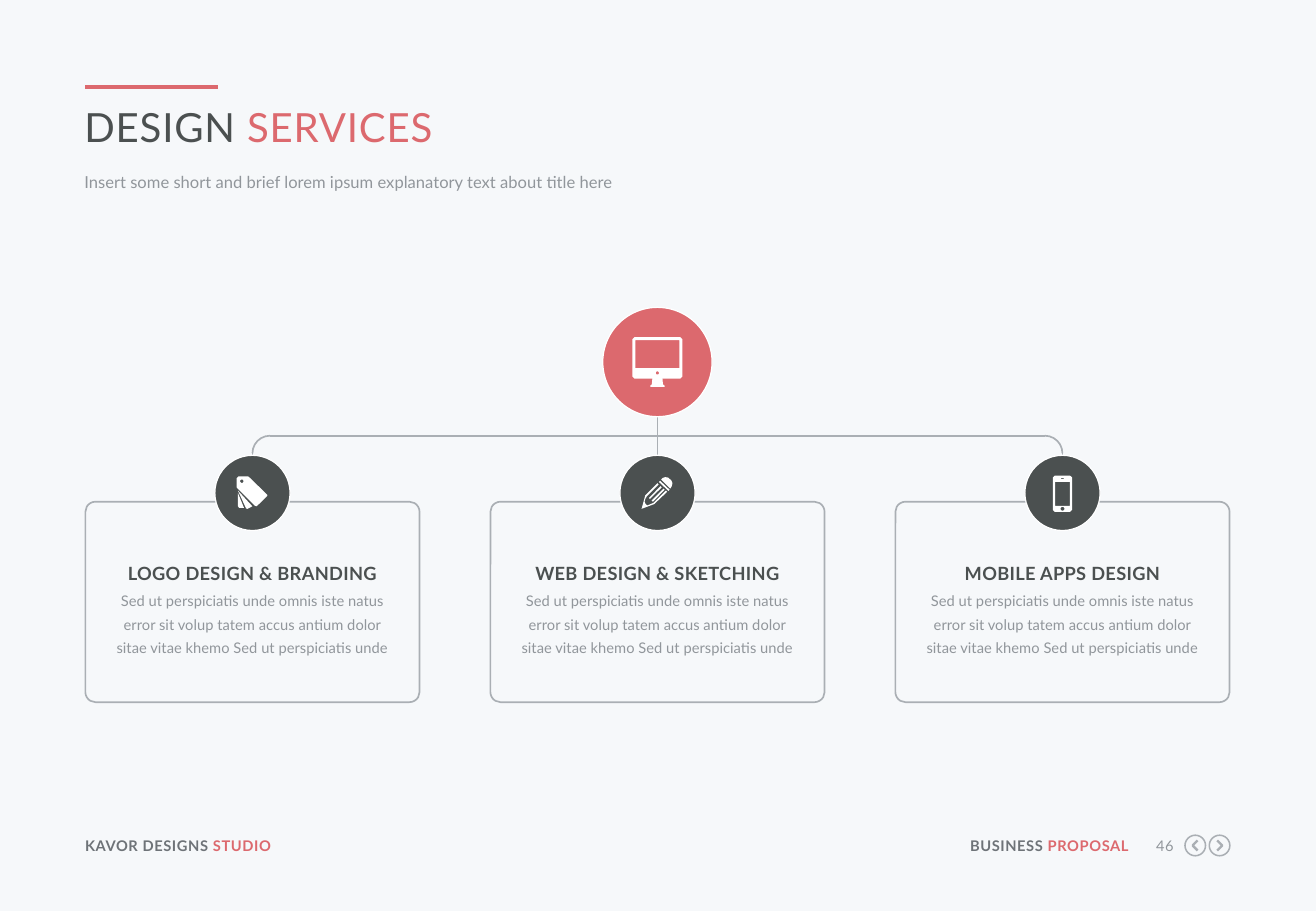
from dataclasses import dataclass

from lxml import etree
from pptx import Presentation
from pptx.dml.color import RGBColor
from pptx.enum.shapes import MSO_CONNECTOR, MSO_SHAPE
from pptx.enum.text import MSO_ANCHOR, MSO_AUTO_SIZE, PP_ALIGN
from pptx.oxml.ns import qn
from pptx.shapes.autoshape import Shape
from pptx.slide import Slide
from pptx.text.text import TextFrame
from pptx.util import Pt

LEFT, MID, RIGHT = PP_ALIGN.LEFT, PP_ALIGN.CENTER, PP_ALIGN.RIGHT
TOP, FIXED = MSO_ANCHOR.TOP, MSO_AUTO_SIZE.NONE
ARC, OVAL, CARD = MSO_SHAPE.ARC, MSO_SHAPE.OVAL, MSO_SHAPE.ROUNDED_RECTANGLE
STRAIGHT = MSO_CONNECTOR.STRAIGHT

COLORS = {"back": "F6F8FA", "red": "DC696E", "dark": "4B5050", "foot": "6E7378",
          "text": "91969B", "line": "AAAFB4", "white": "FFFFFF"}
Point = tuple[float, float]
Box = tuple[float, float, float, float]
Path = list[Point]

FIRST, STEP = 149.6, 240
BAR, BEND = 258.3, 20.8
BLURB = ("Sed ut perspiciatis unde omnis iste natus error sit volup tatem accus "
         "antium dolor sitae vitae khemo Sed ut perspiciatis unde")


@dataclass
class Service:
    name: str
    icon: list[Path]


def round_box(x: float, y: float, w: float, h: float, cut: float) -> Path:
    """Return a box outline with cut corners."""
    r, b = x + w, y + h
    return [(x + cut, y), (r - cut, y), (r, y + cut), (r, b - cut),
            (r - cut, b), (x + cut, b), (x, b - cut), (x, y + cut)]


SCREEN = [
    [(-13.6, -14.7), (13.6, -14.7), (14.8, -13.5), (14.8, 8.6), (13.6, 9.8),
     (3, 9.8), (3.3, 13.2), (4.2, 14), (4.2, 14.7), (-4.2, 14.7), (-4.2, 14),
     (-3.3, 13.2), (-3, 9.8), (-13.6, 9.8), (-14.8, 8.6), (-14.8, -13.5)],
    round_box(-13, -13, 26, 16.6, 0),
    round_box(-0.9, 5.6, 1.8, 1.8, 0.5),
]
PHONE = [
    round_box(-5.7, -10.3, 11.4, 21.6, 1.2),
    round_box(-4.4, -6.5, 8.8, 14.2, 0),
    round_box(-1.1, 8.3, 2.2, 2.2, 0.65),
    round_box(-0.9, -8.8, 1.8, 0.6, 0.2),
]
TAGS = [
    [(-9.4, -8.6), (-8.2, -9.9), (-2.9, -9.9), (-2.2, -9.6), (8.9, 1.2),
     (8.7, 1.9), (2.5, 7.9), (1.5, 7.6), (-9.1, -2.9), (-9.4, -3.6)],
    [(-8.6, -1.4), (0, 7.9), (-2.9, 9.4), (-3.7, 9.3)],
    [(-8.6, 0), (-5, 8.8), (-7.9, 8.8), (-8.6, 7.9)],
    round_box(-7.2, -7.9, 1.9, 1.9, 0.5),
]
PENCIL = [
    [(-9.4, 9.4), (-7.2, 1.4), (0, -5.8), (0.7, -5), (-6.2, 1.9), (-7.2, 3.6),
     (-7.6, 5.2), (-7, 6.6), (-6, 7.4), (-2.2, 5.8), (5, -1.4), (5.8, -0.7),
     (-1.9, 6.6)],
    [(-5, 2.9), (1.8, -4), (2.5, -3.3), (-4.5, 3.6)],
    [(-3.4, 4.5), (3.6, -2.6), (4.3, -1.9), (-2.7, 5.2)],
    [(0.9, -6.5), (1.6, -7.2), (7.2, -1.9), (6.5, -1.2)],
    [(2.2, -7.9), (3.1, -8.9), (4.6, -9.4), (6.4, -9.1), (8.2, -7.4),
     (8.9, -5.8), (8.5, -4), (7.6, -2.6)],
]
SERVICES = [Service("LOGO DESIGN & BRANDING", TAGS),
            Service("WEB DESIGN & SKETCHING", PENCIL),
            Service("MOBILE APPS DESIGN", PHONE)]


def tint(name: str) -> RGBColor:
    """Return a named colour."""
    return RGBColor.from_string(COLORS[name])


def write(frame: TextFrame, text: str, *, accent: str = "", size: float = 8.7,
          color: str = "text", bold: bool = False, track: float = 0,
          align: PP_ALIGN = LEFT, lead: float = 0, after: float = 0) -> None:
    """Fill a frame with one paragraph and an optional red ending."""
    frame.word_wrap, frame.auto_size = True, FIXED
    frame.vertical_anchor = TOP
    frame.margin_left = frame.margin_right = Pt(0)
    frame.margin_top = frame.margin_bottom = Pt(0)
    para = frame.paragraphs[0]
    para.alignment = align
    para.space_before, para.space_after = Pt(0), Pt(after)
    if lead:
        para.line_spacing = Pt(lead)
    for words, hue in ((text, color), (accent, "red")):
        if words:
            run = para.add_run()
            run.text = words
            run.font.name, run.font.size, run.font.bold = "Lato", Pt(size), bold
            run.font.color.rgb = tint(hue)
            run.font._element.set("spc", str(round(track * 100)))


def label(slide: Slide, box: Box, text: str, **form) -> None:
    """Add a text box."""
    write(slide.shapes.add_textbox(*map(Pt, box)).text_frame, text, **form)


def paint(shape: Shape, fill: str = "", line: str = "", width: float = 1) -> Shape:
    """Set the fill and line of a shape."""
    shape.shadow.inherit = False
    if fill:
        shape.fill.solid()
        shape.fill.fore_color.rgb = tint(fill)
    else:
        shape.fill.background()
    if line:
        shape.line.color.rgb, shape.line.width = tint(line), Pt(width)
    else:
        shape.line.fill.background()
    return shape


def form(slide: Slide, kind: MSO_SHAPE, box: Box, **look) -> Shape:
    """Add a preset shape."""
    return paint(slide.shapes.add_shape(kind, *map(Pt, box)), **look)


def rule(slide: Slide, start: Point, end: Point, color: str = "line",
         width: float = 1) -> None:
    """Add a straight line."""
    line = slide.shapes.add_connector(STRAIGHT, *map(Pt, start + end))
    line.line.color.rgb, line.line.width = tint(color), Pt(width)
    etree.SubElement(line._element.spPr, qn("a:effectLst"))


def trace(slide: Slide, x: float, y: float, paths: list[Path],
          close: bool = True, **look) -> None:
    """Draw outlines around a centre as one shape."""
    pen = None
    for path in paths:
        spots = [(Pt(x + dx), Pt(y + dy)) for dx, dy in path]
        if pen is None:
            pen = slide.shapes.build_freeform(*spots[0], scale=1.0)
        else:
            pen.move_to(*spots[0])
        pen.add_line_segments(spots[1:], close=close)
    paint(pen.convert_to_shape(), **look)


def badge(slide: Slide, x: float, y: float, size: float, fill: str,
          icon: list[Path]) -> None:
    """Draw a round badge with its icon."""
    form(slide, OVAL, (x - size / 2, y - size / 2, size, size),
         fill=fill, line="white", width=0.75)
    trace(slide, x, y, icon, fill="white")


def head(slide: Slide) -> None:
    """Fill the title and the lead text."""
    rule(slide, (50.4, 51.8), (128.9, 51.8), "red", 2.25)
    title, lead = slide.shapes.title, slide.placeholders[1]
    for shape, top, high in ((title, 60.5, 29.5), (lead, 100.8, 15.1)):
        shape.left, shape.top = Pt(50), Pt(top)
        shape.width, shape.height = Pt(678), Pt(high)
    write(title.text_frame, "DESIGN", accent=" SERVICES", size=23.8,
          color="dark", track=0.5)
    write(lead.text_frame, "Insert some short and brief lorem ipsum explanatory "
          "text about title here", size=9.8, lead=13)
    props = lead.text_frame.paragraphs[0]._p.get_or_add_pPr()
    props.set("marL", "0")
    props.set("indent", "0")
    etree.SubElement(props, qn("a:buNone"))


def tree(slide: Slide) -> None:
    """Draw the branch lines from the hub to the outer cards."""
    hub, last = FIRST + STEP, FIRST + 2 * STEP
    for x, way in ((FIRST, 1), (last, -1)):
        arc = form(slide, ARC, (min(x, x + way * BEND), BAR, BEND, BEND), line="line")
        if way > 0:
            arc.adjustments[0], arc.adjustments[1] = 108, 162
        rule(slide, (x, BAR + BEND / 2), (x, 273))
        rule(slide, (x + way * BEND / 2, BAR), (hub, BAR))
    rule(slide, (hub, 247), (hub, 270))
    badge(slide, hub, 214.6, 64.8, "red", SCREEN)


def card(slide: Slide, x: float, item: Service) -> None:
    """Draw one service card."""
    box = form(slide, CARD, (x - 99, 297.4, 198, 118.8), line="line")
    box.adjustments[0] = 0.05
    badge(slide, x, 292.2, 44.6, "dark", item.icon)
    label(slide, (x - 86.8, 327.6, 173.6, 18), item.name, size=10.8, color="dark",
          bold=True, track=0.2, align=MID, lead=18.4, after=6.5)
    label(slide, (x - 86.4, 347, 172.8, 42.5), BLURB, align=MID, lead=14.1, after=6.5)


def foot(slide: Slide) -> None:
    """Draw the footer."""
    bold = {"color": "foot", "bold": True, "track": 0.3}
    label(slide, (50.4, 496.1, 152, 10.8), "KAVOR DESIGNS ", accent="STUDIO", **bold)
    label(slide, (570, 496.1, 98.9, 10.8), "BUSINESS ", accent="PROPOSAL",
          align=RIGHT, **bold)
    label(slide, (677.5, 496.1, 18, 10.8), "46", track=0.3, align=RIGHT)
    for x, way in ((708.3, -1), (722.7, 1)):
        form(slide, OVAL, (x - 6.1, 495.1, 12.2, 12.2), line="line", width=0.9)
        arrow = [(-1.4 * way, -3), (1.6 * way, 0), (-1.4 * way, 3)]
        trace(slide, x, 501.2, [arrow], close=False, line="line", width=1.4)


def main() -> None:
    """Build the slide."""
    deck = Presentation()
    deck.slide_width, deck.slide_height = Pt(779.8), Pt(540)
    slide = deck.slides.add_slide(deck.slide_layouts[1])
    slide.background.fill.solid()
    slide.background.fill.fore_color.rgb = tint("back")
    head(slide)
    tree(slide)
    for i, item in enumerate(SERVICES):
        card(slide, FIRST + i * STEP, item)
    foot(slide)
    deck.save("out.pptx")


if __name__ == "__main__":
    main()
